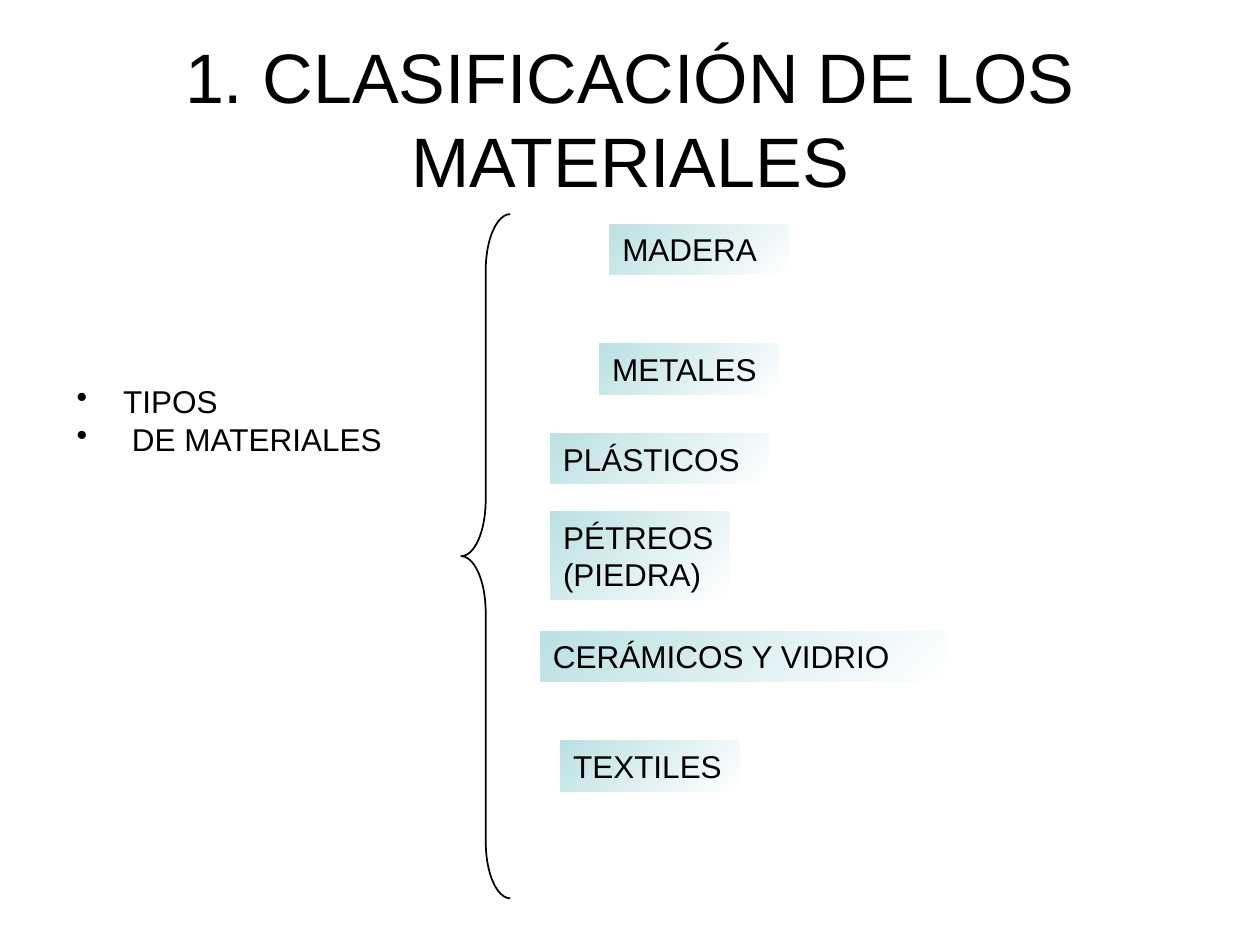
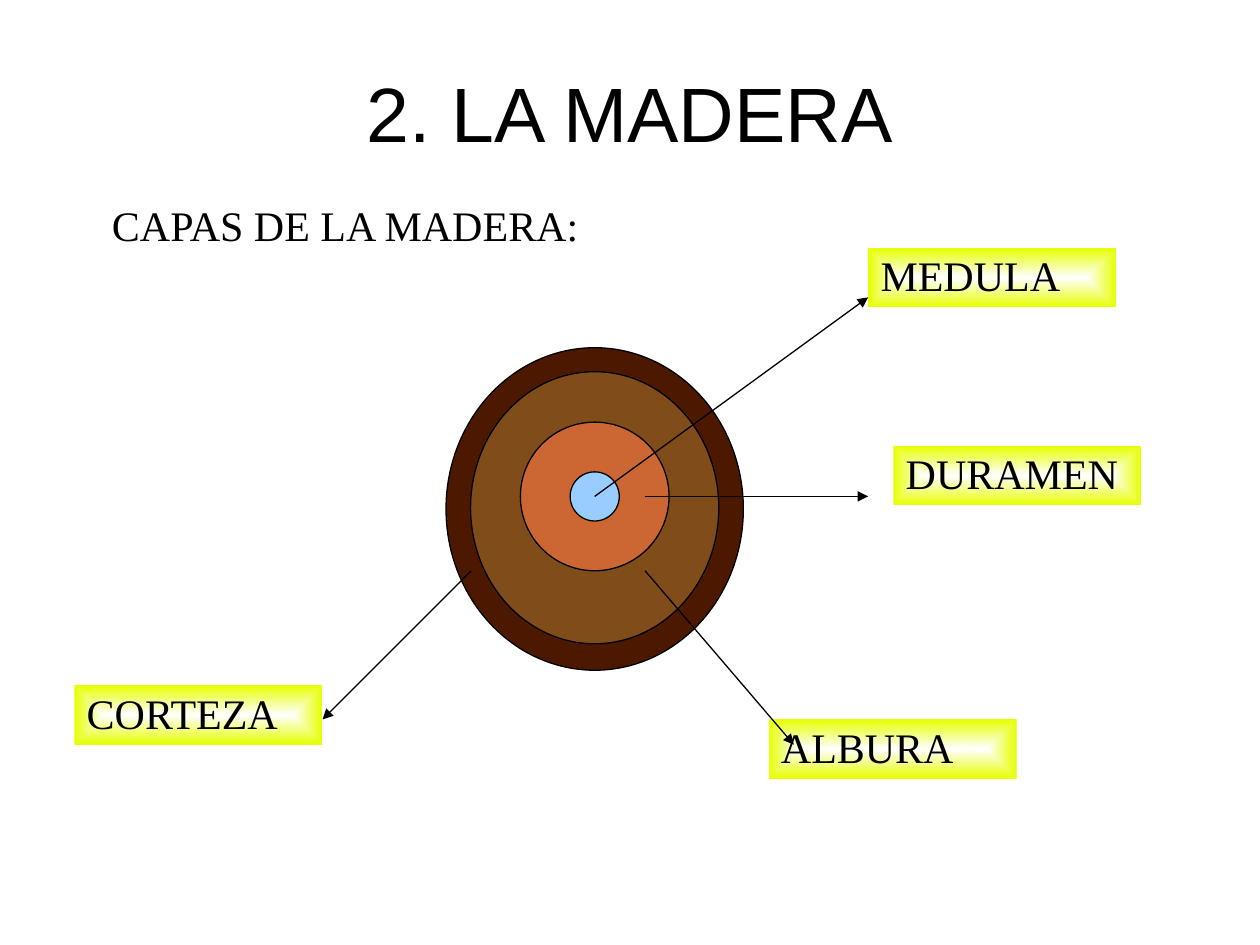
import pptx
import pptx.util
import pptx.dml.color
import pptx.enum.shapes
import pptx.enum.text
import pptx.oxml
import pptx.oxml.ns

Inches, Pt = pptx.util.Inches, pptx.util.Pt
SHAPE = pptx.enum.shapes.MSO_SHAPE
ALIGN = pptx.enum.text.PP_ALIGN
ANCHOR = pptx.enum.text.MSO_ANCHOR
qn = pptx.oxml.ns.qn

# Content: slide 1
MATERIALS_TITLE = "1. CLASIFICACIÓN DE LOS MATERIALES"
BULLETS = ["TIPOS", " DE MATERIALES"]
MATERIALS = [  # text, left, top, width, height
    ("MADERA", 4.84, 1.78, 1.42, 0.4),
    ("METALES", 4.76, 2.73, 1.42, 0.4),
    ("PLÁSTICOS", 4.37, 3.44, 1.73, 0.4),
    ("PÉTREOS (PIEDRA)", 4.37, 4.06, 1.42, 0.7),
    ("CERÁMICOS Y VIDRIO", 4.29, 5.01, 3.23, 0.4),
    ("TEXTILES", 4.45, 5.88, 1.42, 0.4),
]

# Content: slide 2
WOOD_TITLE = "2. LA MADERA"
WOOD_HEADING = "CAPAS DE LA MADERA:"
TRUNK_X = 4.72
RINGS = [  # colour, centre y, width, height
    ("4C1900", 4.04, 2.36, 2.56),
    ("804C19", 4.03, 1.97, 2.16),
    ("CC6633", 3.94, 1.18, 1.18),
    ("99CCFF", 3.94, 0.39, 0.39),
]
LABEL_SIZE = (1.97, 0.47)
LAYERS = [  # text, label left and top, arrow start, arrow end
    ("MEDULA", (6.89, 1.97), (4.72, 3.94), (6.89, 2.36)),
    ("DURAMEN", (7.09, 3.54), (5.12, 3.94), (6.89, 3.94)),
    ("ALBURA", (6.1, 5.71), (5.12, 4.53), (6.3, 5.91)),
    ("CORTEZA", (0.59, 5.44), (3.74, 4.53), (2.56, 5.71)),
]

# Shared style
BLACK, WHITE, TEAL, YELLOW = "000000", "FFFFFF", "BBE0E3", "E6FF00"
SANS, SERIF = "Arial", "Times New Roman"


def rgb(value):
    return pptx.dml.color.RGBColor.from_string(value)


def add_xml(parent, xml):
    declaration = pptx.oxml.ns.nsdecls("a")
    tag, rest = xml[1:].split(" ", 1)
    parent.append(pptx.oxml.parse_xml(f"<{tag} {declaration} {rest}"))


def set_line(item, width):
    item.line.color.rgb = rgb(BLACK)
    item.line.width = Pt(width)


def add_shape(slide, kind, *box):
    s = slide.shapes.add_shape(kind, *map(Inches, box))
    s.shadow.inherit = False
    return s


def write(s, lines, size, font, align=ALIGN.LEFT, anchor=ANCHOR.TOP, spacing=None):
    tf = s.text_frame
    tf.word_wrap = True
    tf.vertical_anchor = anchor
    tf.text = "\n".join(lines)
    for p in tf.paragraphs:
        p.alignment = align
        p.line_spacing = spacing
        p.font.size = Pt(size)
        p.font.name = font
        p.font.color.rgb = rgb(BLACK)
    return tf


def add_text(slide, box, lines, size, font, **style):
    s = slide.shapes.add_textbox(*map(Inches, box))
    return write(s, lines, size, font, **style)


def add_title(slide, text, top, height, size, spacing=None):
    add_text(slide, (0.5, top, 9, height), [text], size, SANS,
             align=ALIGN.CENTER, anchor=ANCHOR.MIDDLE, spacing=spacing)


def add_label(slide, box, text, colour, size, font, spacing=None, glow=False):
    """Box fading to white: diagonally, or from its edges to the centre if glow."""
    s = add_shape(slide, SHAPE.RECTANGLE, *box)
    s.line.fill.background()
    s.fill.gradient()
    s.fill.gradient_angle = 135
    for stop, value in zip(s.fill.gradient_stops, (WHITE, colour)):
        stop.color.rgb = rgb(value)
    if glow:
        grad = s._element.spPr.find(qn("a:gradFill"))
        grad.remove(grad.find(qn("a:lin")))
        add_xml(grad, '<a:path path="rect"><a:fillToRect l="50000" t="50000" '
                      'r="50000" b="50000"/></a:path>')
    write(s, [text], size, font, spacing=spacing)


def add_arrow(slide, start, end):
    kind = pptx.enum.shapes.MSO_CONNECTOR.STRAIGHT
    c = slide.shapes.add_connector(kind, *map(Inches, start + end))
    set_line(c, 0.75)
    add_xml(c.line._get_or_add_ln(), '<a:tailEnd type="triangle"/>')
    add_xml(c._element.spPr, "<a:effectLst />")


def build_materials(slide):
    add_title(slide, MATERIALS_TITLE, 0.21, 1.44, 40)

    # Bulleted name of the group
    tf = add_text(slide, (0.51, 3.04, 2.83, 0.66), BULLETS, 18, SANS, spacing=0.8)
    for p in tf.paragraphs:
        p.space_before = Pt(4.5)
        ppr = p._p.get_or_add_pPr()
        ppr.set("marL", str(Inches(0.37)))
        ppr.set("indent", str(-Inches(0.37)))
        add_xml(ppr, '<a:buChar char="•"/>')

    # Brace and the materials it gathers
    brace = add_shape(slide, SHAPE.LEFT_BRACE, 3.66, 1.7, 0.39, 5.43)
    brace.adjustments[0] = 1.15
    brace.fill.background()
    set_line(brace, 1)
    for text, *box in MATERIALS:
        add_label(slide, box, text, TEAL, 18, SANS)


def build_wood(slide):
    add_title(slide, WOOD_TITLE, 0.35, 1.15, 44, spacing=0.93)
    add_text(slide, (0.79, 1.57, 4.72, 0.47), [WOOD_HEADING], 24, SERIF, spacing=0.93)

    # Trunk section, outermost ring first
    for colour, centre_y, width, height in RINGS:
        ring = add_shape(slide, SHAPE.OVAL, TRUNK_X - width / 2,
                         centre_y - height / 2, width, height)
        ring.fill.solid()
        ring.fill.fore_color.rgb = rgb(colour)
        set_line(ring, 0.75)

    # Layer names with their arrows
    for text, corner, start, end in LAYERS:
        add_label(slide, corner + LABEL_SIZE, text, YELLOW, 24, SERIF,
                  spacing=0.93, glow=True)
        add_arrow(slide, start, end)


def main():
    prs = pptx.Presentation()
    prs.slide_width, prs.slide_height = Inches(10), Inches(7.5)
    for build in (build_materials, build_wood):
        build(prs.slides.add_slide(prs.slide_layouts[6]))
    prs.save("out.pptx")


if __name__ == "__main__":
    main()
